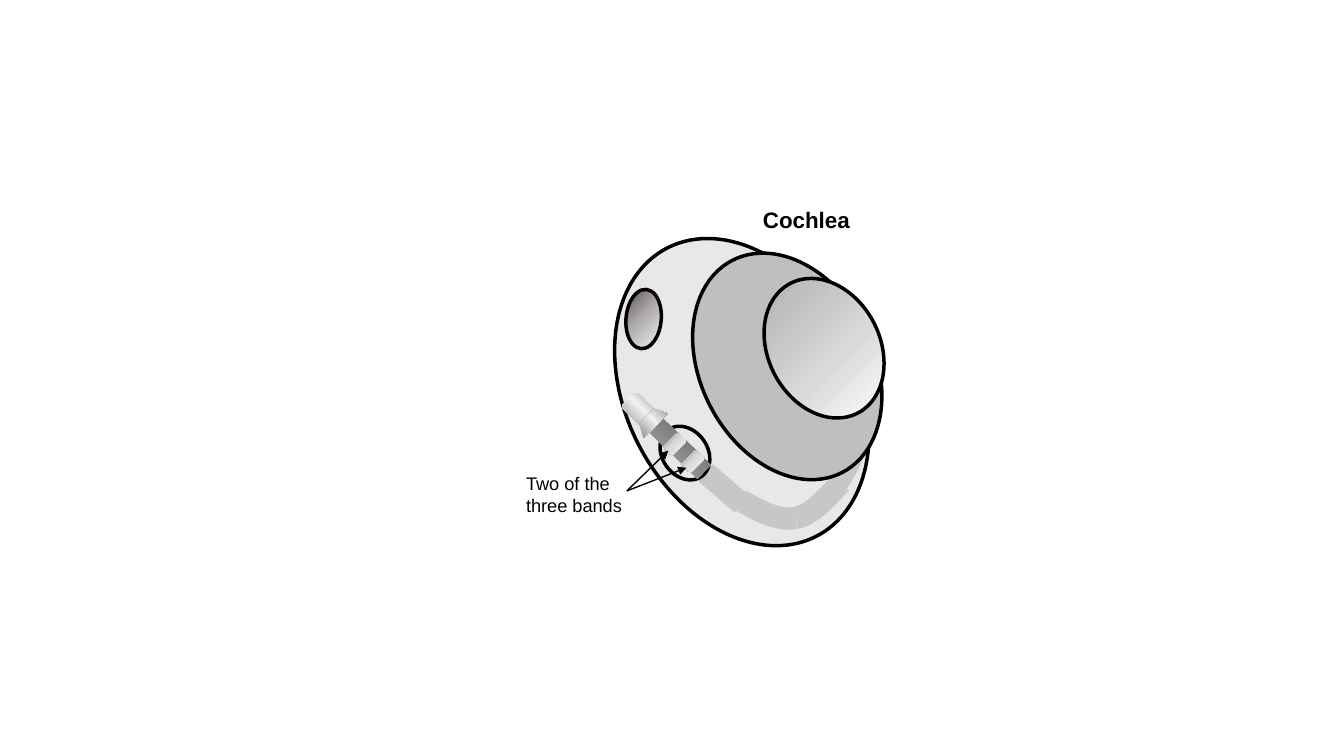
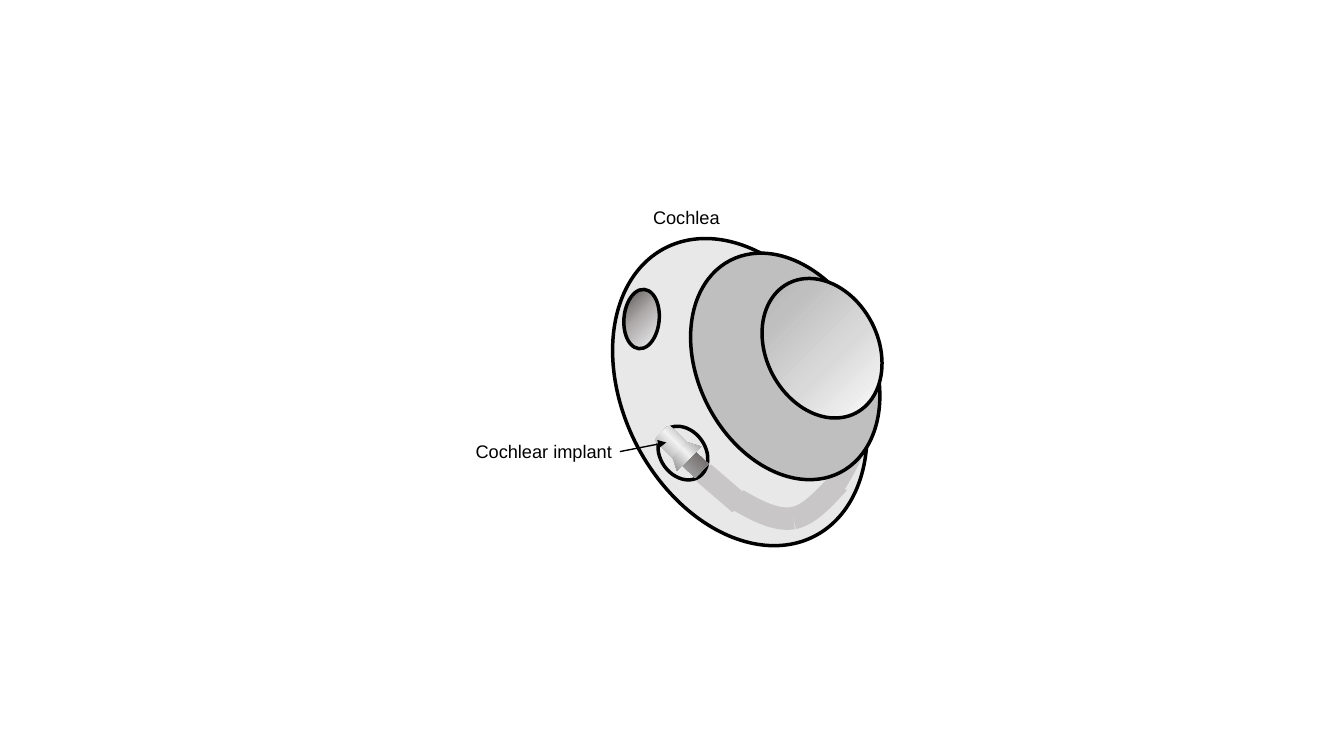
from lxml import etree
from pptx import Presentation
from pptx.dml.color import RGBColor
from pptx.enum.shapes import MSO_CONNECTOR, MSO_SHAPE
from pptx.enum.text import MSO_AUTO_SIZE
from pptx.oxml.ns import qn
from pptx.util import Inches, Pt

OVAL = MSO_SHAPE.OVAL
RECTANGLE = MSO_SHAPE.RECTANGLE
ROUNDED = MSO_SHAPE.ROUNDED_RECTANGLE
FLARE = MSO_SHAPE.FLOWCHART_MANUAL_OPERATION
STRAIGHT = MSO_CONNECTOR.STRAIGHT
FIT_SHAPE = MSO_AUTO_SIZE.SHAPE_TO_FIT_TEXT

COLUMNS, ROWS = 133.33, 75
CELL = Inches(0.1)
FONT = "Arial"
BLANK_LAYOUT = 6
CURVE_STEPS = 24

COLORS = {
    "ink": "000000",
    "canal": "AFABAB",
    "base": "D9D9D9",
    "middle": "BFBFBF",
    "glint": "F6F8FC",
    "pale": "F2F2F2",
    "steel": "A6A6A6",
    "dark": "767171",
    "edge": "8E8C8C",
    "silver": "C5C5C5",
}

# Gradient stops, and an angle in degrees or None for a circular gradient.
METAL = [(0, "edge"), (25, "silver"), (45, "pale"), (82, "steel"), (100, "dark")]
GRADIENTS = {
    "apex": ([(0, "glint"), (21, "pale"), (44, "base"), (72, "middle"),
              (100, "steel")], None),
    "window": ([(0, "glint"), (54, "canal"), (82, "dark"), (100, "dark")], None),
    "band": ([(0, "glint"), (54, "base"), (82, "steel"), (100, "dark")], None),
    "electrode": ([(0, "base"), (20, "steel"), (71, "dark"), (100, "dark")], 0),
    "head": (METAL, 90),
    "flare": (METAL, 0),
}


def cells(count):
    """Turn a number of grid cells into a length."""
    return round(count * CELL)


def color(name):
    """Look up a colour of the palette."""
    return RGBColor.from_string(COLORS[name])


def bezier(start, first, second, end):
    """List points along a cubic curve, the start included."""
    points = []
    for step in range(CURVE_STEPS + 1):
        t = step / CURVE_STEPS
        weights = ((1 - t) ** 3, 3 * t * (1 - t) ** 2, 3 * t ** 2 * (1 - t), t ** 3)
        corners = (start, first, second, end)
        points.append(tuple(sum(weight * corner[axis]
                                for weight, corner in zip(weights, corners))
                            for axis in (0, 1)))
    return points


class Sketch:
    """Holds the deck, the current page and the drawing style."""

    def __init__(self):
        """Start an empty deck."""
        self.deck = Presentation()
        self.deck.slide_width = cells(COLUMNS)
        self.deck.slide_height = cells(ROWS)
        self.page = None

    def new_page(self):
        """Add a blank page and make it current."""
        layout = self.deck.slide_layouts[BLANK_LAYOUT]
        self.page = self.deck.slides.add_slide(layout)

    def shape(self, kind, left, top, width, height, turn, fill=None,
              outline=2.5, opacity=100, flip=False):
        """Add a turned preset shape with a plain, gradient or empty fill."""
        shape = self.page.shapes.add_shape(
            kind, cells(left), cells(top), cells(width), cells(height))
        shape.shadow.inherit = False
        shape.rotation = turn
        if flip:
            shape._element.spPr.find(qn("a:xfrm")).set("flipH", "1")
        if fill in GRADIENTS:
            self.gradient(shape, *GRADIENTS[fill])
        elif fill:
            shape.fill.solid()
            shape.fill.fore_color.rgb = color(fill)
            if opacity < 100:
                tone = shape._element.spPr.find(".//" + qn("a:srgbClr"))
                etree.SubElement(tone, qn("a:alpha"), val=str(opacity * 1000))
        else:
            shape.fill.background()
        if outline:
            self.stroke(shape, "ink", outline)
        else:
            shape.line.fill.background()

    def gradient(self, shape, stops, angle):
        """Fill a shape with a linear or circular gradient."""
        shape.fill.background()
        empty = shape._element.spPr.find(qn("a:noFill"))
        fill = etree.Element(qn("a:gradFill"), rotWithShape="1")
        stop_list = etree.SubElement(fill, qn("a:gsLst"))
        for position, name in stops:
            stop = etree.SubElement(stop_list, qn("a:gs"), pos=str(position * 1000))
            etree.SubElement(stop, qn("a:srgbClr"), val=COLORS[name])
        if angle is None:
            circle = etree.SubElement(fill, qn("a:path"), path="circle")
            etree.SubElement(circle, qn("a:fillToRect"), l="100000", t="100000")
        else:
            etree.SubElement(fill, qn("a:lin"), ang=str(angle * 60000), scaled="0")
        empty.getparent().replace(empty, fill)

    def stroke(self, item, name, weight):
        """Set the colour and weight of a line."""
        item.line.color.rgb = color(name)
        item.line.width = Pt(weight)

    def line(self, start, end, name="ink", weight=1.0, arrow=False):
        """Add a straight line, with an arrowhead at its end if asked."""
        line = self.page.shapes.add_connector(
            STRAIGHT, *(cells(value) for value in (*start, *end)))
        self.stroke(line, name, weight)
        if arrow:
            outline = line._element.spPr.find(qn("a:ln"))
            etree.SubElement(outline, qn("a:tailEnd"), type="triangle")
        etree.SubElement(line._element.spPr, qn("a:effectLst"))

    def curve(self, corners, name, weight):
        """Add an open cubic curve."""
        points = [(cells(x), cells(y)) for x, y in bezier(*corners)]
        builder = self.page.shapes.build_freeform(*points[0])
        builder.add_line_segments(points[1:], close=False)
        curve = builder.convert_to_shape()
        curve.shadow.inherit = False
        curve.fill.background()
        self.stroke(curve, name, weight)

    def label(self, text, left, top, width, height, size=13, bold=False):
        """Add a text label."""
        box = self.page.shapes.add_textbox(
            cells(left), cells(top), cells(width), cells(height))
        frame = box.text_frame
        frame.word_wrap = True
        frame.auto_size = FIT_SHAPE
        paragraph = frame.paragraphs[0]
        paragraph.text = text
        font = paragraph.font
        font.name, font.size, font.bold = FONT, Pt(size), bold
        font.color.rgb = color("ink")


def draw_cochlea(sketch, left):
    """Draw the canal, the three turns and the two windows."""
    sketch.line((left + 7.9, 46.9), (left + 11.5, 50), "canal", 16)
    canal = (
        ((11.3, 49.6), (14.9, 51.3), (16.8, 51.7), (18.3, 51.3)),
        ((16.8, 51.4), (18.4, 51.1), (19.8, 49.5), (21.3, 47.9)),
        ((21, 47.9), (21.6, 46.9), (22.2, 45.9), (22.6, 44.9)),
        ((22.6, 44.9), (23, 43.9), (23.2, 42.8), (23.5, 41.7)),
    )
    first, *rest = canal
    bend = (first[0], (13.2, 50.7), (15.1, 51.7), rest[0][0])
    for corners in (bend, *rest):
        sketch.curve([(left + x, y) for x, y in corners], "canal", 16)
    sketch.shape(OVAL, left, 22.8, 23, 32.2, 332.5, "base", opacity=60)
    sketch.shape(OVAL, left + 7.4, 24.5, 17.2, 23.7, 332.5, "middle")
    sketch.shape(OVAL, left + 14.1, 27.3, 11.1, 14.5, 332.5, "apex")
    sketch.shape(OVAL, left + 3.6, 42.1, 4.5, 5.7, 324.4)
    sketch.shape(OVAL, left, 28.7, 3.5, 5.9, 5.2, "window")


def draw_electrode(sketch, left, top, length):
    """Draw the shaft of the implant."""
    sketch.shape(RECTANGLE, left, top, 1.9, length, 313.8, "electrode", outline=0)


def draw_implant_head(sketch, left, top):
    """Draw the rounded head of the implant and its flare."""
    sketch.shape(ROUNDED, left, top, 3.6, 2.1, 44.9, "head", outline=0, flip=True)
    sketch.shape(FLARE, left + 1.1, top + 1.3, 3.4, 1.3, 135.1, "flare", outline=0)


def build_bands_page(sketch):
    """Show the implant partly inserted, with its bands."""
    sketch.new_page()
    draw_cochlea(sketch, 62.1)
    draw_electrode(sketch, 66.1, 40.2, 7.8)
    for left, top in ((66.3, 43), (68.1, 44.7)):
        sketch.shape(ROUNDED, left, top, 1.3, 2.1, 44.9, "band", outline=0, flip=True)
    draw_implant_head(sketch, 61.8, 39.8)
    sketch.label("Cochlea", 74.7, 20, 14.1, 3.7, size=16, bold=True)
    for band in ((66.3, 44.7), (68.1, 46.4)):
        sketch.line((62.2, 48.7), band, arrow=True)
    sketch.label("Two of the three bands", 51.2, 46.4, 12.5, 5.4)


def build_implant_page(sketch):
    """Show the implant fully inserted."""
    sketch.new_page()
    draw_cochlea(sketch, 61.9)
    draw_electrode(sketch, 67.6, 44.2, 3)
    draw_implant_head(sketch, 65.1, 43.1)
    sketch.label("Cochlear implant", 46.2, 43.2, 16, 3.2)
    sketch.label("Cochlea", 63.8, 20, 8.8, 3.2)
    sketch.line((61.5, 44.8), (66.1, 43.9), arrow=True)


def main():
    """Build both pages and save the deck."""
    sketch = Sketch()
    build_bands_page(sketch)
    build_implant_page(sketch)
    sketch.deck.save("out.pptx")


main()
